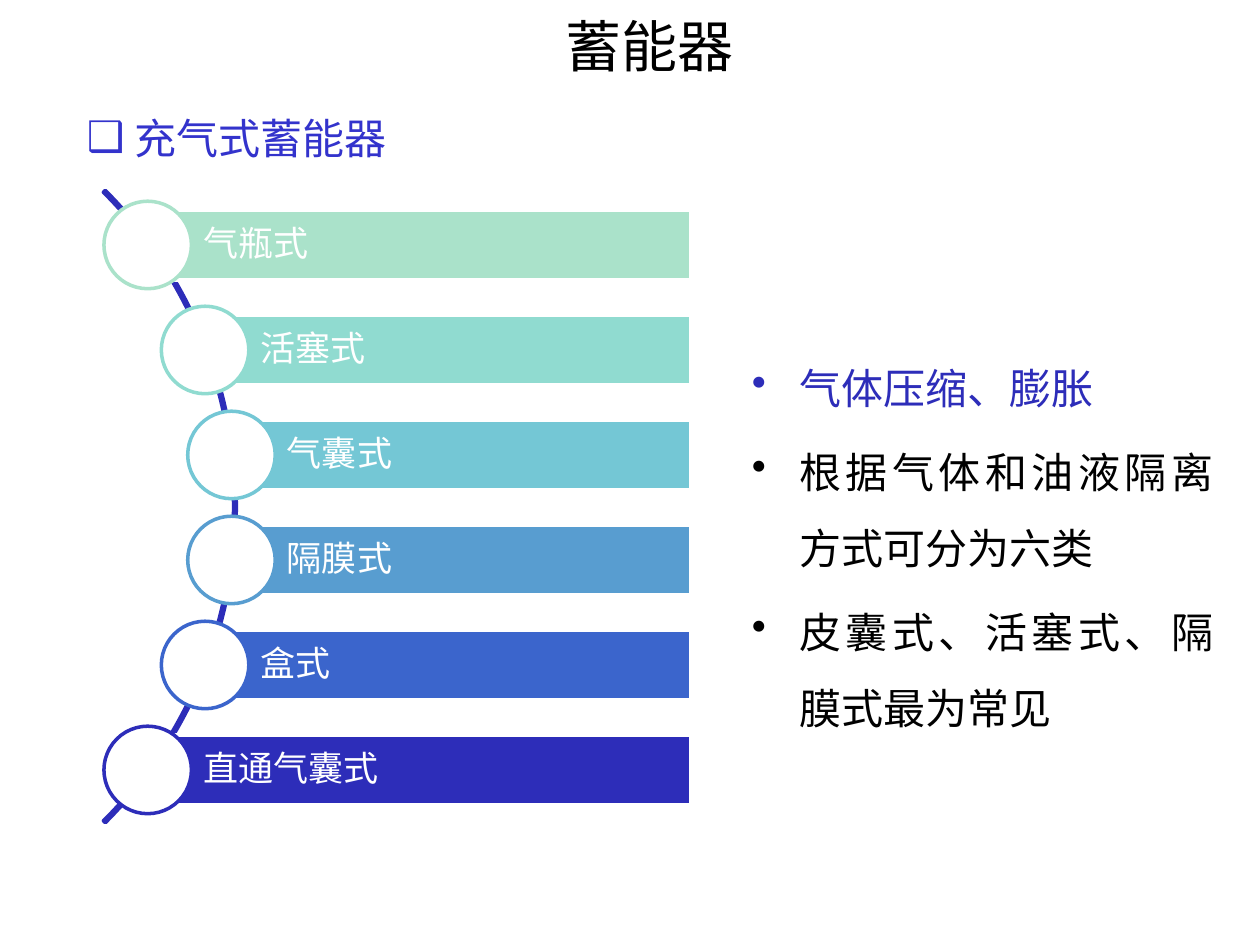
from lxml.etree import SubElement
from pptx import Presentation
from pptx.dml.color import RGBColor
from pptx.enum.shapes import MSO_SHAPE as Preset
from pptx.enum.text import MSO_ANCHOR as Anchor, MSO_AUTO_SIZE as AutoSize, PP_ALIGN as Align
from pptx.oxml.ns import qn
from pptx.util import Pt

FONT = "Noto Sans CJK SC"
WHITE, BLACK, INDIGO, HEADING = "FFFFFF", "000000", "2D2DB9", "3333CC"

BAR_RIGHT, BAR_HEIGHT, CIRCLE = 394.6, 40, 50
FIRST_CENTER, PITCH = 140, 60
TYPES = [  # label, colour, left edge of the bar
    ("气瓶式", "AAE2CA", 84.4),
    ("活塞式", "90DBD0", 117.2),
    ("气囊式", "74C7D5", 132.3),
    ("隔膜式", "589DD0", 132.3),
    ("盒式", "3B65CC", 117.2),
    ("直通气囊式", INDIGO, 84.4),
]
NOTES = [
    ("气体压缩、膨胀", INDIGO),
    ("根据气体和油液隔离方式可分为六类", BLACK),
    ("皮囊式、活塞式、隔膜式最为常见", BLACK),
]


def rgb(color):
    return RGBColor.from_string(color)


class SlideBuilder:
    def __init__(self, page, font=FONT):
        self.page = page
        self.font = font

    def set_text(self, para, text, size, color, align):
        para.text = text
        para.alignment = align
        for span in para.runs:
            span.font.name = self.font
            span.font.size = Pt(size)
            span.font.color.rgb = rgb(color)
            SubElement(span.font._element, qn("a:ea"), typeface=self.font)

    def place(self, box, left, top, width, height):
        box.left, box.top, box.width, box.height = map(Pt, (left, top, width, height))

    def title(self, text, *bounds):
        box = self.page.shapes.title
        self.place(box, *bounds)
        box.text_frame.auto_size = AutoSize.NONE
        box.text_frame.vertical_anchor = Anchor.MIDDLE
        self.set_text(box.text_frame.paragraphs[0], text, 32, BLACK, Align.CENTER)

    def bullets(self, box, items, bullet, spacing=1.0, size=24, indent=27):
        """Fill a box with (text, colour) items as a justified list."""
        frame = box.text_frame
        frame.word_wrap = True
        frame.auto_size = AutoSize.NONE
        for index, (text, color) in enumerate(items):
            para = frame.add_paragraph() if index else frame.paragraphs[0]
            properties = para._p.get_or_add_pPr()
            properties.set("marL", str(Pt(indent)))
            properties.set("indent", str(-Pt(indent)))
            SubElement(properties, qn("a:buChar"), char=bullet)
            para.line_spacing = spacing
            para.space_before = Pt(0.2 * size if index else 0)
            self.set_text(para, text, size, color, Align.JUSTIFY)

    def body(self, items, bullet, *bounds):
        box = self.page.placeholders[1]
        self.place(box, *bounds)
        self.bullets(box, items, bullet)

    def text_list(self, items, bullet, *bounds):
        box = self.page.shapes.add_textbox(*map(Pt, bounds))
        self.bullets(box, items, bullet, spacing=1.5)

    def shape(self, preset, fill, line, *bounds):
        shape = self.page.shapes.add_shape(preset, *map(Pt, bounds))
        shape.shadow.inherit = False
        shape.fill.solid()
        shape.fill.fore_color.rgb = rgb(fill)
        shape.line.color.rgb = rgb(line)
        shape.line.width = Pt(2)
        return shape

    def arc(self, color, left, top, size):
        arc = self.shape(Preset.BLOCK_ARC, color, color, left, top, size, size)
        for index, value in enumerate((189, 27, 0.003)):  # 315° to 45°, thin band
            arc.adjustments[index] = value

    def labelled_bar(self, text, color, left, center):
        bar = self.shape(Preset.RECTANGLE, color, WHITE, left, center - BAR_HEIGHT / 2,
                         BAR_RIGHT - left, BAR_HEIGHT)
        frame = bar.text_frame
        frame.word_wrap = True
        frame.vertical_anchor = Anchor.MIDDLE
        frame.margin_left = Pt(31.7)
        frame.margin_top = frame.margin_right = frame.margin_bottom = Pt(4)
        para = frame.paragraphs[0]
        para.line_spacing = 0.9
        self.set_text(para, text, 20, WHITE, Align.LEFT)
        self.shape(Preset.OVAL, WHITE, color, left - CIRCLE / 2, center - CIRCLE / 2,
                   CIRCLE, CIRCLE)


def main():
    deck = Presentation()
    deck.slide_width, deck.slide_height = Pt(720), Pt(540)
    builder = SlideBuilder(deck.slides.add_slide(deck.slide_layouts[1]))
    builder.title("蓄能器", 116, 1.5, 510, 49)
    builder.body([("充气式蓄能器", HEADING)], "❑", 42.5, 60.5, 493, 442)
    builder.arc(INDIGO, -376, 34, 511)
    for index, (label, color, left) in enumerate(TYPES):
        builder.labelled_bar(label, color, left, FIRST_CENTER + index * PITCH)
    builder.text_list(NOTES, "•", 422.6, 189.4, 278, 200)
    deck.save("out.pptx")


if __name__ == "__main__":
    main()
